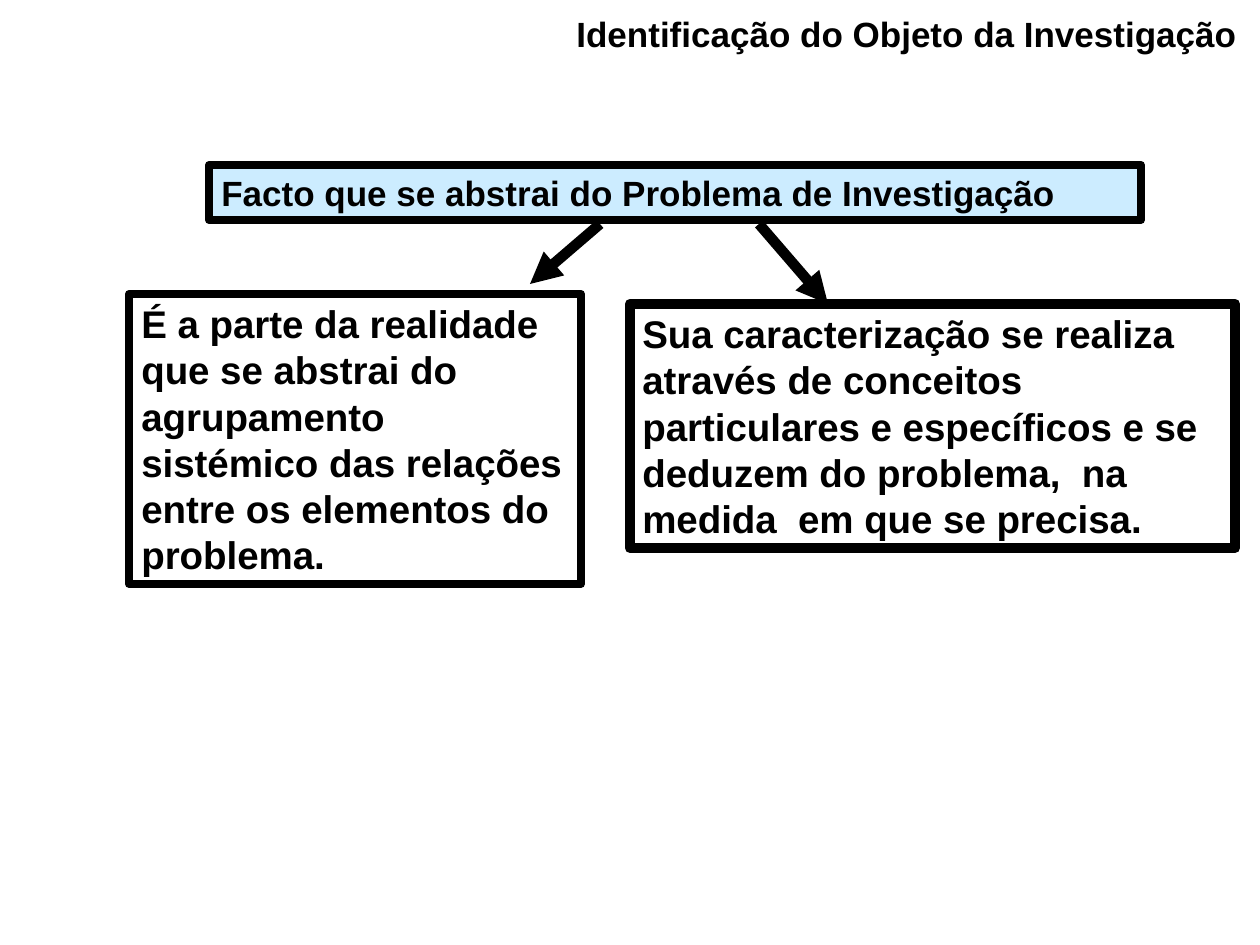
"""Build the slide on identifying the object of an investigation."""
from lxml import etree
from pptx import Presentation
from pptx import util as u
from pptx.dml.color import RGBColor
from pptx.enum import shapes, text
from pptx.oxml import ns

PX = 914400 / 126
BLACK = RGBColor(0, 0, 0)
BLUE = RGBColor(0xCC, 0xEC, 0xFF)


def px(*nums):
    return [u.Emu(round(n * PX)) for n in nums]


def write(box, words, size):
    frame = box.text_frame
    frame.text = words
    frame.word_wrap = True
    frame.auto_size = text.MSO_AUTO_SIZE.SHAPE_TO_FIT_TEXT
    frame.vertical_anchor = text.MSO_ANCHOR.TOP
    para = frame.paragraphs[0]
    para.alignment = text.PP_ALIGN.LEFT
    font = para.runs[0].font
    font.name = "Arial"
    font.size = u.Pt(size)
    font.bold = True
    font.color.rgb = BLACK


deck = Presentation()
deck.slide_width, deck.slide_height = px(1260, 945)
slide = deck.slides.add_slide(deck.slide_layouts[6])

title = slide.shapes.add_textbox(*px(564, 6, 696, 55))
write(title, "Identificação do Objeto da Investigação", 20)

boxes = [
    ((209, 165, 932, 55), BLUE, 4.5, 20,
     "Facto que se abstrai do Problema de Investigação"),
    ((129, 294, 452, 290), None, 4.5, 22,
     "É a parte da realidade que se abstrai do agrupamento sistémico "
     "das relações entre os elementos do problema."),
    ((630, 304, 605, 244), None, 6, 22,
     "Sua caracterização se realiza através de conceitos particulares e "
     "específicos e se deduzem do problema,  na medida  em que se precisa."),
]
for place, fill, width, size, words in boxes:
    box = slide.shapes.add_shape(shapes.MSO_SHAPE.RECTANGLE, *px(*place))
    box.shadow.inherit = False
    if fill:
        box.fill.solid()
        box.fill.fore_color.rgb = fill
    else:
        box.fill.background()
    box.line.color.rgb = BLACK
    box.line.width = u.Pt(width)
    write(box, words, size)

for ends in [(600, 224, 530, 284), (759, 224, 828, 304)]:
    arrow = slide.shapes.add_connector(shapes.MSO_CONNECTOR.STRAIGHT, *px(*ends))
    arrow.line.color.rgb = BLACK
    arrow.line.width = u.Pt(6)
    etree.SubElement(arrow.line._get_or_add_ln(), ns.qn("a:tailEnd"), type="triangle")
    etree.SubElement(arrow._element.spPr, ns.qn("a:effectLst"))

deck.save("out.pptx")
